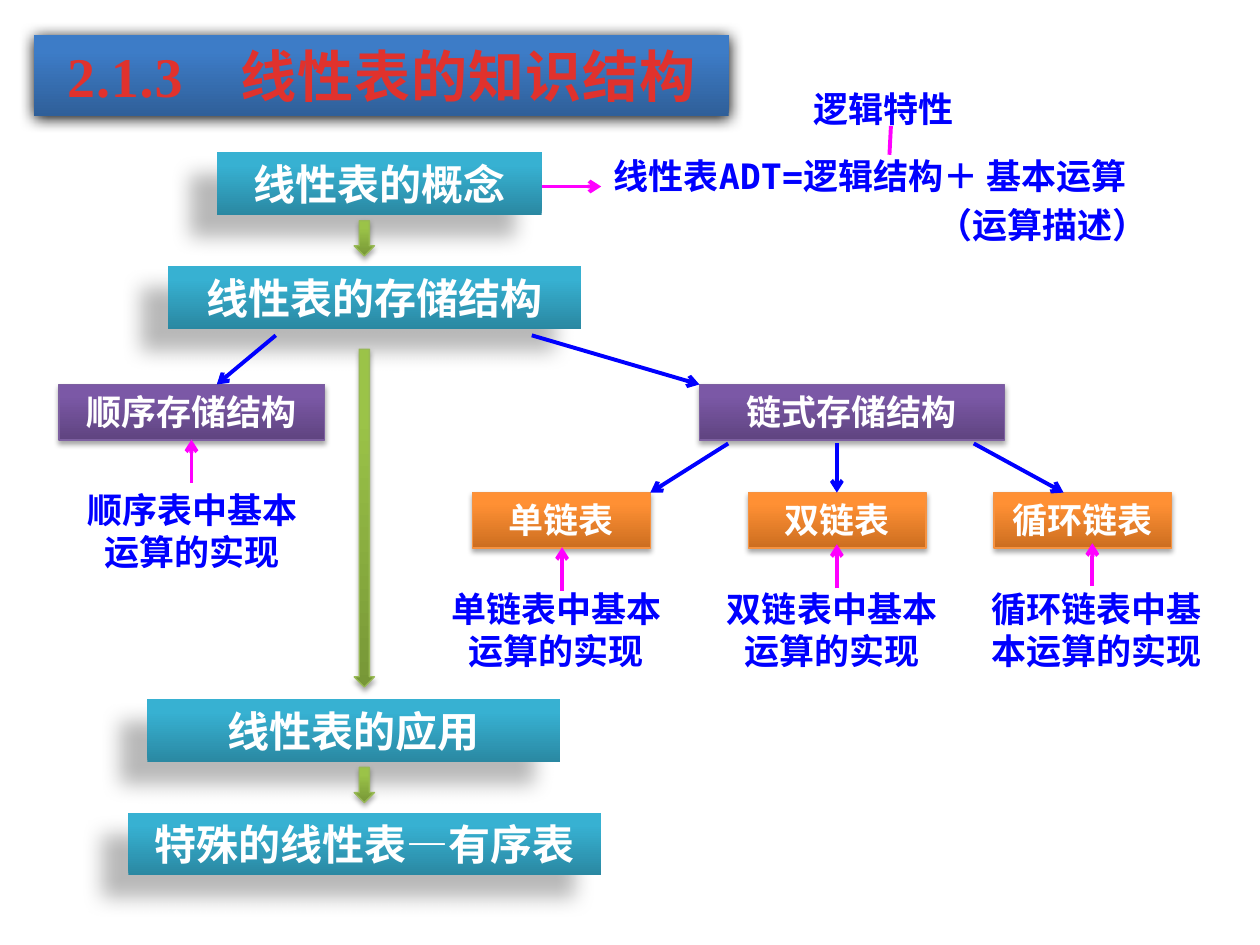
from dataclasses import dataclass

from lxml import etree
from pptx import Presentation
from pptx.dml.color import RGBColor
from pptx.enum.shapes import MSO_CONNECTOR, MSO_SHAPE
from pptx.enum.text import MSO_ANCHOR, MSO_AUTO_SIZE, PP_ALIGN
from pptx.oxml.ns import qn
from pptx.util import Cm, Pt

RECT, DOWN = MSO_SHAPE.RECTANGLE, MSO_SHAPE.DOWN_ARROW
LINE = MSO_CONNECTOR.STRAIGHT
TOP, GROW = MSO_ANCHOR.TOP, MSO_AUTO_SIZE.SHAPE_TO_FIT_TEXT
LEFT, MID = PP_ALIGN.LEFT, PP_ALIGN.CENTER
MONO, SERIF = "DejaVu Sans Mono", "Times New Roman"
HEX = {
    "white": "FFFFFF", "black": "000000", "red": "E0322D",
    "blue": "0000FF", "pink": "FF00FF",
    "navy": "2F5F99", "sky": "3D7CC7",
    "teal": "2A88A2", "aqua": "37B1D2",
    "moss": "779737", "lime": "9BC348", "leaf": "98B955",
    "plum": "5F4480", "mauve": "7B58A6", "lilac": "7D60A0",
    "rust": "CC6E20", "orange": "FF9034", "amber": "F69240",
}


@dataclass(frozen=True)
class Shade:
    alpha: int
    blur: float
    dist: float
    angle: int


@dataclass(frozen=True)
class Look:
    low: str
    high: str
    shade: Shade
    edge: str = ""


@dataclass(frozen=True)
class Box:
    look: Look
    left: float
    top: float
    width: float
    height: float
    text: str = ""
    size: int = 24


@dataclass(frozen=True)
class Note:
    left: float
    top: float
    width: float
    height: float
    text: str
    align: PP_ALIGN = MID


@dataclass(frozen=True)
class Link:
    color: str
    x1: float
    y1: float
    x2: float
    y2: float
    head: bool = True


SOFT = Shade(35, 3.1, 1.8, 90)
TITLE = Look("navy", "sky", Shade(100, 8.5, 1, 90))
MAIN = Look("teal", "aqua", Shade(28, 11.8, 19.7, 141))
FLOW = Look("moss", "lime", SOFT, "leaf")
STORE = Look("plum", "mauve", SOFT, "lilac")
CHAIN = Look("rust", "orange", SOFT, "amber")

STAGES = [
    Box(MAIN, 4.37, 3.07, 6.55, 1.27, "线性表的概念"),
    Box(MAIN, 3.38, 5.36, 8.33, 1.27, "线性表的存储结构"),
    Box(MAIN, 2.97, 14.1, 8.33, 1.27, "线性表的应用"),
    Box(MAIN, 2.59, 16.38, 9.53, 1.27, "特殊的线性表—有序表"),
    Box(STORE, 1.19, 7.75, 5.36, 1.12, "顺序存储结构", 20),
    Box(STORE, 14.1, 7.75, 6.15, 1.12, "链式存储结构", 20),
]
FLOWS = [Box(FLOW, 7.14, top, 0.41, height)
         for top, height in ((4.45, 0.71), (7.04, 6.81), (15.47, 0.71))]
LISTS = [("单链表", 9.53, 8.74), ("双链表", 15.09, 14.3), ("循环链表", 20.04, 19.63)]
NOTES = [
    Note(16.15, 1.63, 3.58, 1.12, "逻辑特性", LEFT),
    Note(1.4, 9.73, 4.95, 1.96, "顺序表中基本运算的实现"),
]
LINKS = [
    Link("pink", 17.96, 2.54, 17.93, 3.12, False),
    Link("pink", 10.92, 3.76, 12.12, 3.76),
    Link("pink", 3.86, 9.73, 3.86, 8.86),
    Link("pink", 11.33, 11.91, 11.33, 11.03),
    Link("pink", 16.87, 11.86, 16.87, 10.97),
    Link("pink", 22.02, 11.81, 22.02, 10.95),
    Link("blue", 5.56, 6.76, 4.37, 7.75),
    Link("blue", 10.72, 6.76, 14.1, 7.75),
    Link("blue", 14.68, 8.94, 13.11, 9.93),
    Link("blue", 16.87, 8.94, 16.87, 9.93),
    Link("blue", 19.63, 8.94, 21.44, 9.93),
]


def tint(name: str) -> RGBColor:
    return RGBColor.from_string(HEX[name])


def write(frame, *lines: str, color: str = "blue", size: int = 20, font: str = MONO,
          align: PP_ALIGN = MID, track: int = 0) -> list:
    frame.word_wrap = True
    frame.auto_size = GROW
    frame.vertical_anchor = TOP
    paras = []
    for num, line in enumerate(lines):
        para = frame.add_paragraph() if num else frame.paragraphs[0]
        para.alignment = align
        run = para.add_run()
        run.text = line
        run.font.name, run.font.size, run.font.bold = font, Pt(size), True
        run.font.color.rgb = tint(color)
        if track:
            run.font._element.set("spc", str(track))
        paras.append(para)
    return paras


def cast(shape, shade: Shade) -> None:
    shape.shadow.inherit = False
    glow = shape._element.spPr.find(qn("a:effectLst"))
    outer = etree.SubElement(glow, qn("a:outerShdw"), blurRad=str(Pt(shade.blur)),
                             dist=str(Pt(shade.dist)), dir=str(shade.angle * 60000),
                             algn="ctr", rotWithShape="0")
    color = etree.SubElement(outer, qn("a:srgbClr"), val=HEX["black"])
    etree.SubElement(color, qn("a:alpha"), val=str(shade.alpha * 1000))


def block(slide, box: Box, kind: MSO_SHAPE = RECT):
    look = box.look
    shape = slide.shapes.add_shape(kind, Cm(box.left), Cm(box.top),
                                   Cm(box.width), Cm(box.height))
    shape.fill.gradient()
    shape.fill.gradient_angle = 90
    for stop, name, place in zip(shape.fill.gradient_stops, (look.low, look.high), (0, 0.8)):
        stop.color.rgb = tint(name)
        stop.position = place
    if look.edge:
        shape.line.color.rgb = tint(look.edge)
        shape.line.width = Pt(0.75)
    else:
        shape.line.fill.background()
    cast(shape, look.shade)
    if box.text:
        write(shape.text_frame, box.text, color="white", size=box.size)
    return shape


def label(slide, note: Note) -> None:
    area = slide.shapes.add_textbox(Cm(note.left), Cm(note.top), Cm(note.width), Cm(note.height))
    write(area.text_frame, note.text, align=note.align)


def join(slide, link: Link) -> None:
    line = slide.shapes.add_connector(LINE, Cm(link.x1), Cm(link.y1), Cm(link.x2), Cm(link.y2))
    line.line.color.rgb = tint(link.color)
    line.line.width = Pt(2.25)
    if link.head:
        etree.SubElement(line.line._get_or_add_ln(), qn("a:tailEnd"), type="arrow")
    etree.SubElement(line._element.spPr, qn("a:effectLst"))


def main() -> None:
    deck = Presentation()
    deck.slide_width, deck.slide_height = Cm(25.4), Cm(19.05)
    slide = deck.slides.add_slide(deck.slide_layouts[6])

    title = block(slide, Box(TITLE, 0.69, 0.71, 14, 1.63))
    write(title.text_frame, "2.1.3　线性表的知识结构", color="red", size=32, font=SERIF, track=50)
    for box in STAGES:
        block(slide, box)
    for box in FLOWS:
        block(slide, box, DOWN)
    for note in NOTES:
        label(slide, note)
    for name, left, start in LISTS:
        block(slide, Box(CHAIN, left, 9.93, 3.58, 1.12, name, 20))
        label(slide, Note(start, 11.71, 4.95, 1.96, f"{name}中基本运算的实现"))

    area = slide.shapes.add_textbox(Cm(12.12), Cm(3.2), Cm(12.12), Cm(2.62))
    paras = write(area.text_frame, "线性表ADT=逻辑结构＋ 基本运算", "（运算描述）", align=LEFT)
    for para in paras:
        para.line_spacing = Pt(18)
    paras[1].space_before = Pt(10)
    paras[1]._p.get_or_add_pPr().set("marL", str(Cm(6.53)))

    for link in LINKS:
        join(slide, link)
    deck.save("out.pptx")


if __name__ == "__main__":
    main()
